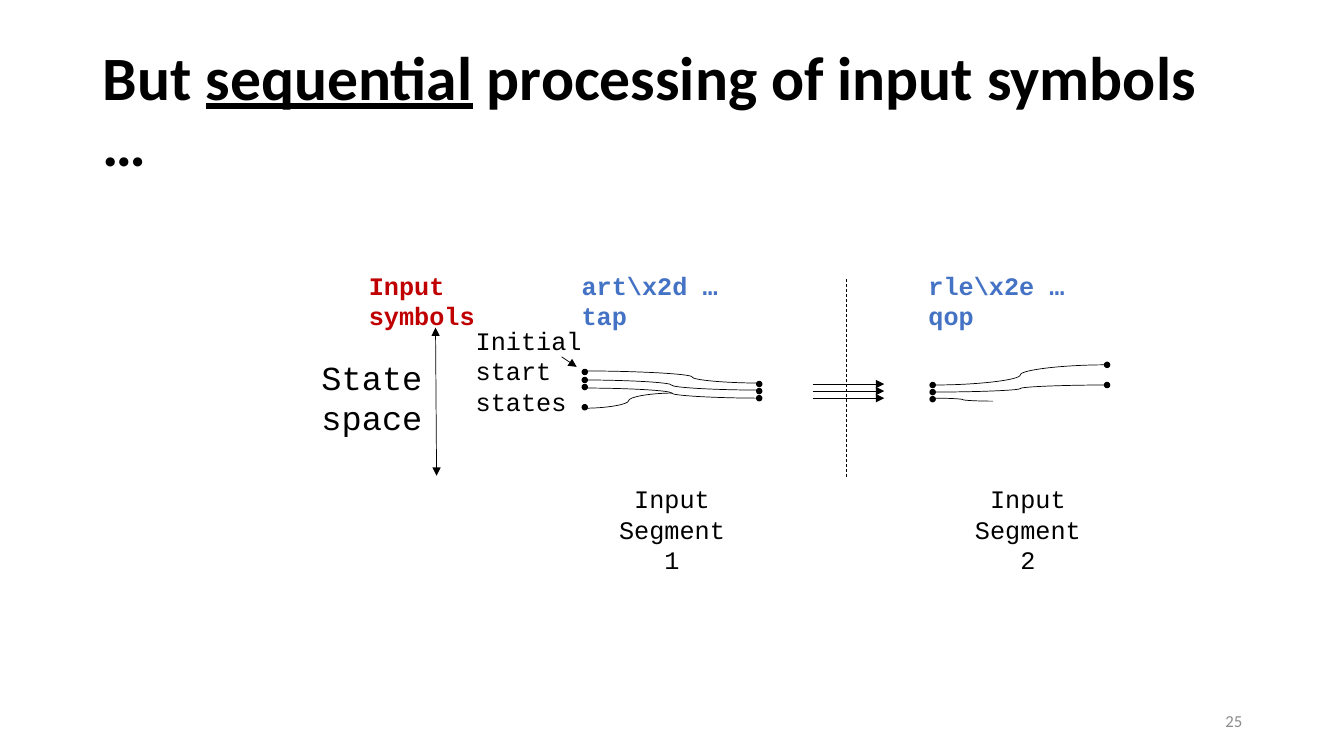
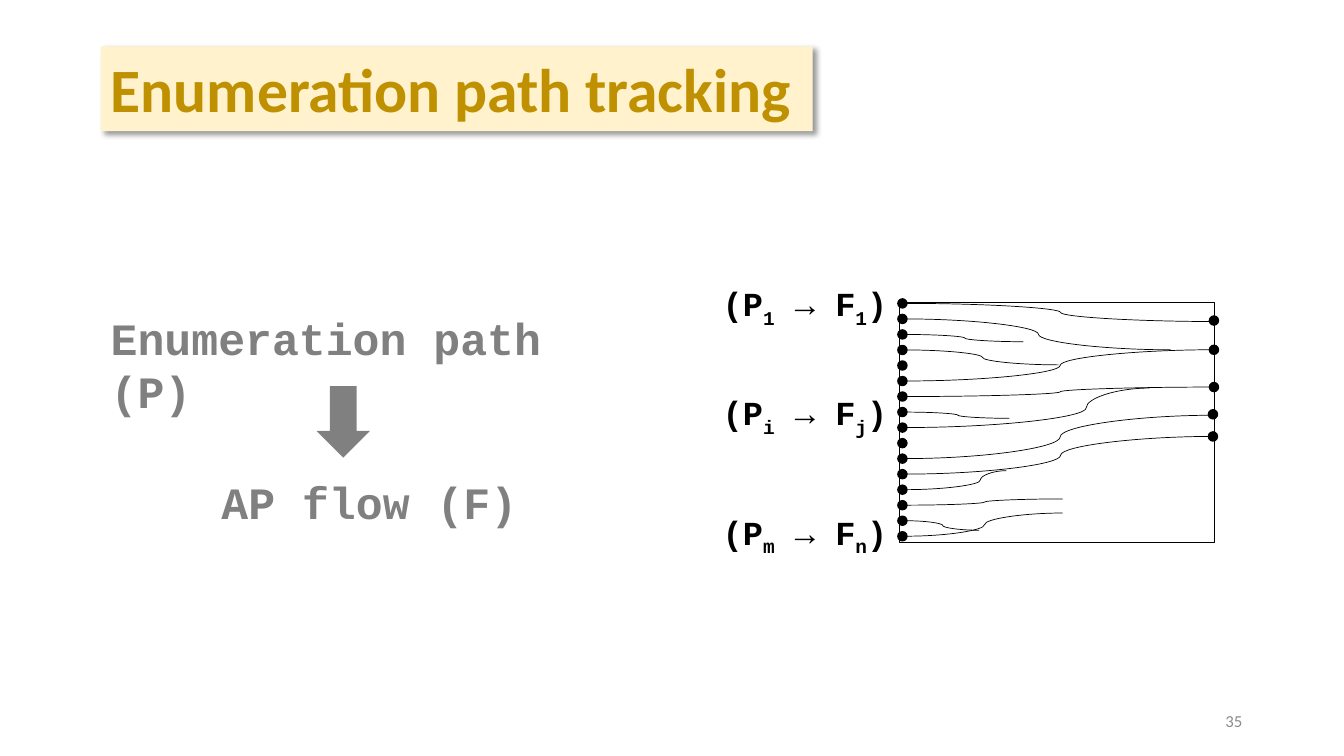
from dataclasses import dataclass
from typing import NamedTuple

from lxml.etree import SubElement as Sub
from pptx import Presentation
from pptx.dml.color import RGBColor as Rgb
from pptx.enum.dml import MSO_LINE_DASH_STYLE as Dash
from pptx.enum.shapes import MSO_CONNECTOR as Link, MSO_SHAPE as Form
from pptx.enum.text import MSO_ANCHOR as Anchor, MSO_AUTO_SIZE as Fit, PP_ALIGN as Align
from pptx.oxml.ns import qn
from pptx.util import Inches, Pt


@dataclass(frozen=True)
class Theme:
    sans: str = "Calibri"
    mono: str = "Courier New"
    black: str = "000000"
    red: str = "C00000"
    blue: str = "4472C4"
    gray: str = "808080"
    pale: str = "8C8C8C"
    gold: str = "BF9000"
    cream: str = "FFF2CC"
    title: int = 44
    large: int = 32
    mid: int = 24
    small: int = 18
    foot: int = 12
    thin: float = 0.5


T = Theme()


class Box(NamedTuple):
    x: float
    y: float
    w: float
    h: float


class Look(NamedTuple):
    size: int
    color: str = T.black
    bold: bool = False
    face: str = T.mono
    align: Align = Align.LEFT


class Curve(NamedTuple):
    x1: float
    y1: float
    x2: float
    y2: float
    bend: float = 0.5


class Trail(NamedTuple):
    row: int
    x: float
    y: float
    bend: float = 0.5


class Run(NamedTuple):
    text: str
    under: bool = False
    sub: bool = False


# Shared helpers

def put(item, **values) -> None:
    for name, value in values.items():
        setattr(item, name, value)


def place(shape, box: Box) -> None:
    put(shape, **dict(zip(("left", "top", "width", "height"), map(Inches, box))))


def fill(shape, color: str) -> None:
    shape.fill.solid()
    shape.fill.fore_color.rgb = Rgb.from_string(color)


def write(shape, paras: list[list[Run]], look: Look, **frame) -> None:
    text = shape.text_frame
    put(text, **{"word_wrap": True, "auto_size": Fit.SHAPE_TO_FIT_TEXT,
                 "vertical_anchor": Anchor.TOP, **frame})
    for i, runs in enumerate(paras):
        para = text.add_paragraph() if i else text.paragraphs[0]
        para.alignment = look.align
        for part in runs:
            run = para.add_run()
            run.text = part.text
            put(run.font, name=look.face, size=Pt(look.size), bold=look.bold,
                underline=part.under)
            run.font.color.rgb = Rgb.from_string(look.color)
            if part.sub:
                run._r.get_or_add_rPr().set("baseline", "-25000")


def label(slide, box: Box, text: str, look: Look, **frame) -> None:
    shape = slide.shapes.add_textbox(*map(Inches, box))
    write(shape, [[Run(line)] for line in text.split("\n")], look, **frame)


def title(slide, box: Box, runs: list[Run], color: str, **frame):
    shape = slide.shapes.title
    place(shape, box)
    write(shape, [runs], Look(T.title, color, True, T.sans), **frame)
    return shape


def number(slide, text: str) -> None:
    label(slide, Box(9.42, 6.95, 3, 0.4), text,
          Look(T.foot, T.pale, face=T.sans, align=Align.RIGHT),
          auto_size=Fit.NONE, vertical_anchor=Anchor.MIDDLE)


def dot(slide, x: float, y: float, size: float) -> None:
    shape = slide.shapes.add_shape(
        Form.OVAL, *map(Inches, (x - size / 2, y - size / 2, size, size)))
    shape.shadow.inherit = False
    fill(shape, T.black)
    shape.line.color.rgb = Rgb.from_string(T.black)
    shape.line.width = Pt(1)


def stroke(slide, ends: tuple, kind: Link = Link.STRAIGHT, **style):
    wire = slide.shapes.add_connector(kind, *map(Inches, ends))
    wire.line.color.rgb = Rgb.from_string(T.black)
    put(wire.line, width=Pt(T.thin), **style)
    Sub(wire._element.spPr, qn("a:effectLst"))
    return wire


def arrow(slide, ends: tuple, both: bool = False) -> None:
    ln = stroke(slide, ends)._element.spPr.find(qn("a:ln"))
    for tag in ("a:headEnd", "a:tailEnd") if both else ("a:tailEnd",):
        Sub(ln, qn(tag), type="triangle")


def curve(slide, bow: Curve) -> None:
    wire = stroke(slide, bow[:4], Link.CURVE)
    guides = wire._element.spPr.find(qn("a:prstGeom")).find(qn("a:avLst"))
    Sub(guides, qn("a:gd"), name="adj1", fmla=f"val {round(bow.bend * 100000)}")


def shade(shape) -> None:
    effects = Sub(shape._element.spPr, qn("a:effectLst"))
    cast = Sub(effects, qn("a:outerShdw"), blurRad=str(Pt(4)), dist=str(Pt(3)),
               dir="2700000", algn="tl", rotWithShape="0")
    color = Sub(cast, qn("a:srgbClr"), val=T.black)
    Sub(color, qn("a:alpha"), val="40000")


# Slide: sequential processing

DOT = 0.05
BOWS = [
    Curve(5.79, 3.77, 7.53, 3.87), Curve(5.79, 3.85, 7.53, 3.95),
    Curve(5.8, 4.05, 6.67, 3.9), Curve(5.78, 3.68, 7.53, 3.8, 0.62),
    Curve(9.27, 3.82, 10.97, 3.62), Curve(9.26, 3.89, 10.98, 3.82),
    Curve(9.25, 3.95, 9.85, 3.98),
]
DOTS = {
    5.8: (3.69, 3.77, 3.84, 4.04),
    7.53: (3.81, 3.88, 3.95),
    9.25: (3.82, 3.89, 3.96),
    10.98: (3.62, 3.82),
}
PLAIN = Look(T.small)
CODE = Look(T.small, T.blue, True)
MID = Look(T.small, align=Align.CENTER)
LABELS = [
    (Box(4.62, 3.18, 1.26, 1.01), "Initial start states", PLAIN),
    (Box(3.09, 3.49, 1.35, 0.91), "State\nspace", Look(T.mid)),
    (Box(3.56, 2.63, 2.08, 0.4), "Input symbols", Look(T.small, T.red, True)),
    (Box(5.67, 2.63, 2.03, 0.4), "art\\x2d … tap", CODE),
    (Box(9.11, 2.63, 2.05, 0.4), "rle\\x2e … qop", CODE),
    (Box(5.91, 4.75, 1.51, 0.71), "Input Segment 1", MID),
    (Box(9.43, 4.75, 1.53, 0.71), "Input Segment 2", MID),
]


def serial(slide) -> None:
    head = title(slide, Box(0.92, 0.4, 11.5, 1.45),
                 [Run("But "), Run("sequential", under=True),
                  Run(" processing of input symbols …")],
                 T.black, auto_size=Fit.NONE, vertical_anchor=Anchor.MIDDLE)
    head.text_frame.paragraphs[0].line_spacing = 0.9
    for bow in BOWS:
        curve(slide, bow)
    for x, col in DOTS.items():
        for y in col:
            dot(slide, x, y, DOT)
    for box, text, look in LABELS:
        label(slide, box, text, look)
    # Axis, pointer, border and hand-over arrows
    arrow(slide, (4.32, 3.25, 4.33, 4.72), both=True)
    arrow(slide, (5.57, 3.54, 5.72, 3.64))
    stroke(slide, (8.39, 2.77, 8.39, 4.75), dash_style=Dash.DASH)
    for i in range(3):
        y = 3.81 + 0.07 * i
        arrow(slide, (8.06, y, 8.77, y))
    number(slide, "25")


# Slide: path tracking

KNOB = 0.09
ROWS = 16
TOP, LOW = 3.01, 5.32
STEP = (LOW - TOP) / (ROWS - 1)
TRAILS = [
    Trail(0, 12.05, 3.19), Trail(1, 11.61, 3.47), Trail(2, 10.15, 3.39),
    Trail(3, 10.5, 3.62), Trail(5, 12.04, 3.47), Trail(6, 12.04, 3.84),
    Trail(7, 10.01, 4.15), Trail(8, 11.4, 3.85, 0.74), Trail(10, 12.04, 4.12),
    Trail(11, 12.05, 4.33), Trail(12, 9.98, 4.67, 0.74), Trail(13, 10.54, 4.95),
    Trail(14, 9.71, 5.26), Trail(15, 10.54, 5.09),
]
GOALS = [(12.04, 3.18), (12.04, 3.47), (12.04, 3.84), (12.03, 4.11), (12.03, 4.33)]
PAIRS = [(2.76, "1", "1"), (3.84, "i", "j"), (5.03, "m", "n")]


def tracks(slide) -> None:
    head = title(slide, Box(1, 0.46, 7.06, 0.84),
                 [Run("Enumeration path tracking")], T.gold)
    fill(head, T.cream)
    shade(head)
    # Frame with its paths
    frame = slide.shapes.add_shape(Form.RECTANGLE, *map(Inches, (8.92, 3, 3.12, 2.38)))
    frame.shadow.inherit = False
    frame.fill.background()
    frame.line.color.rgb = Rgb.from_string(T.black)
    frame.line.width = Pt(T.thin)
    for row, x, y, bend in TRAILS:
        curve(slide, Curve(8.99, TOP + row * STEP, x, y, bend))
    for x, y in [(8.95, TOP + row * STEP) for row in range(ROWS)] + GOALS:
        dot(slide, x, y, KNOB)
    # Path and flow pairs
    for y, start, end in PAIRS:
        shape = slide.shapes.add_textbox(*map(Inches, (7.07, y, 1.87, 0.5)))
        runs = [Run("(P"), Run(start, sub=True), Run(" → F"), Run(end, sub=True), Run(")")]
        write(shape, [runs], Look(T.mid, bold=True))
    # Mapping on the left
    label(slide, Box(1, 3.03, 5.33, 0.64), "Enumeration path (P)",
          Look(T.large, T.gray, True))
    label(slide, Box(1, 4.66, 5.33, 0.64), "AP flow (F)",
          Look(T.large, T.gray, True, align=Align.CENTER))
    down = slide.shapes.add_shape(Form.DOWN_ARROW, *map(Inches, (3.14, 3.83, 0.53, 0.71)))
    down.shadow.inherit = False
    fill(down, T.gray)
    down.line.fill.background()
    number(slide, "35")


def main() -> None:
    deck = Presentation()
    put(deck, slide_width=Inches(13.33), slide_height=Inches(7.5))
    for draw in (serial, tracks):
        draw(deck.slides.add_slide(deck.slide_layouts[5]))
    deck.save("out.pptx")


if __name__ == "__main__":
    main()
